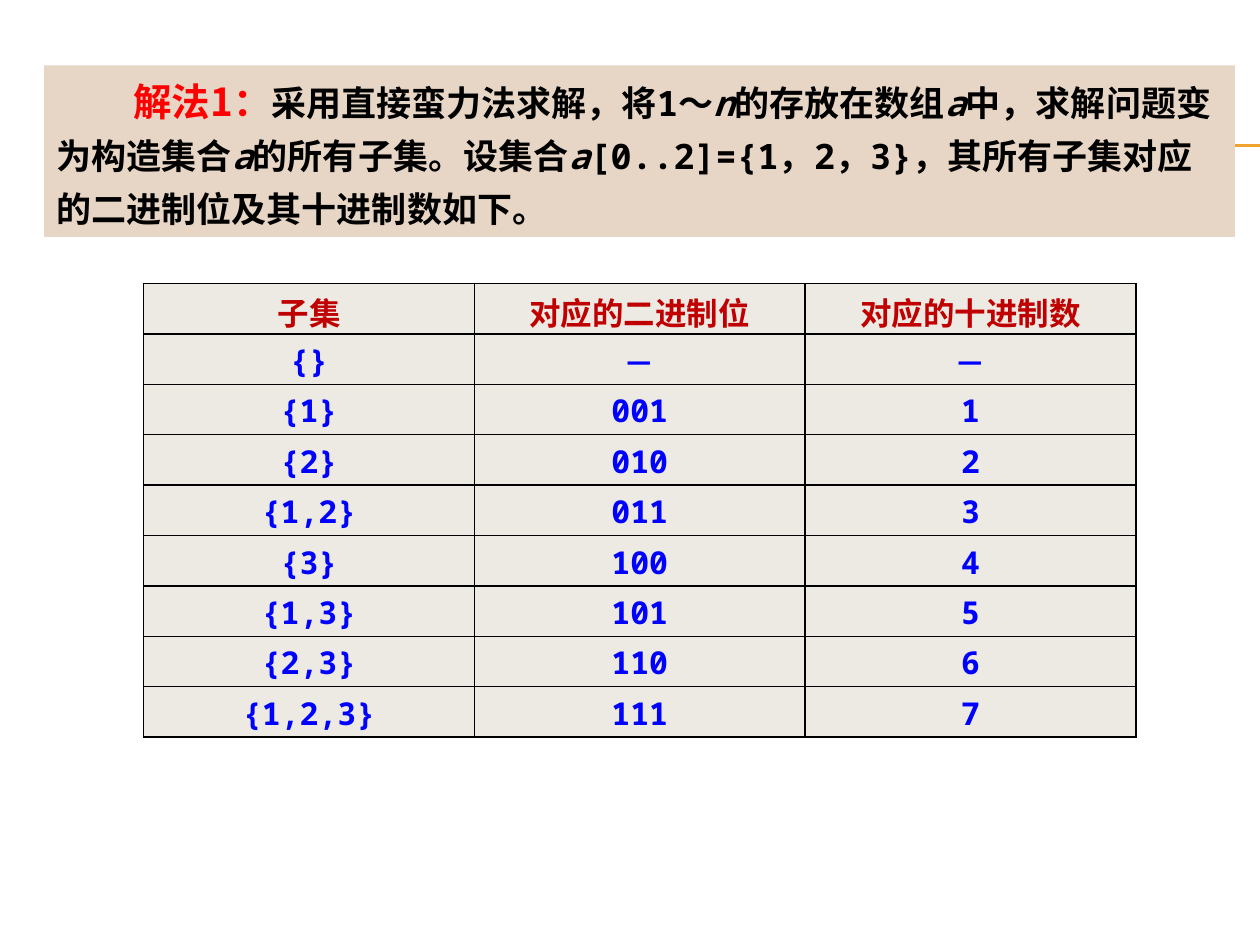
"""Build a slide that lists subsets with their binary and decimal codes."""
from dataclasses import dataclass

from lxml.etree import SubElement
from pptx import Presentation
from pptx.dml.color import RGBColor as Color
from pptx.enum.shapes import MSO_CONNECTOR as Connector
from pptx.enum.text import MSO_ANCHOR as Anchor, PP_ALIGN as Align
from pptx.oxml.ns import qn
from pptx.util import Inches, Pt

COLORS = {
    "rule": "F0A22E", "panel": "E7D6C5", "label": "FF0000", "text": "000000",
    "cell": "ECEAE3", "header": "C00000", "value": "0000FF", "border": "000000",
}
MONO, SANS = "Noto Sans Mono", "Noto Sans CJK SC"
HEADERS = ("子集", "对应的二进制位", "对应的十进制数")
ELEMENTS = (1, 2, 3)
ROW_HEIGHT, COLUMN_WIDTH = 0.4, 2.625


@dataclass(frozen=True)
class Span:
    text: str
    color: str = "text"
    size: int = 20
    italic: bool = False
    font: str = MONO


INTRODUCTION = (
    Span("解法1：", "label", 22, font=SANS),
    Span("采用直接蛮力法求解，将1～"),
    Span("n", italic=True),
    Span("的存放在数组"),
    Span("a", italic=True),
    Span("中，求解问题变为构造集合"),
    Span("a", italic=True),
    Span("的所有子集。设集合"),
    Span("a", italic=True),
    Span("[0..2]={1，2，3}，其所有子集对应的二进制位及其十进制数如下。"),
)


def color_of(name: str) -> Color:
    return Color.from_string(COLORS[name])


def add_span(paragraph, span: Span) -> None:
    run = paragraph.add_run()
    run.text = span.text
    formats = {"name": span.font, "size": Pt(span.size), "bold": True, "italic": span.italic}
    for attribute, value in formats.items():
        setattr(run.font, attribute, value)
    run.font.color.rgb = color_of(span.color)
    SubElement(run.font._element, qn("a:ea"), typeface=SANS)


def add_rule(slide, top: float) -> None:
    rule = slide.shapes.add_connector(
        Connector.STRAIGHT, Inches(0.56), Inches(top), Inches(10), Inches(top))
    rule.line.color.rgb = color_of("rule")
    rule.line.width = Pt(0.75)
    SubElement(rule._element.spPr, qn("a:effectLst"))


def add_introduction(slide) -> None:
    panel = slide.shapes.add_textbox(Inches(0.35), Inches(0.52), Inches(9.45), Inches(1.36))
    panel.fill.solid()
    panel.fill.fore_color.rgb = color_of("panel")
    panel.text_frame.word_wrap = True
    paragraph = panel.text_frame.paragraphs[0]
    paragraph.line_spacing = Pt(30)
    paragraph._p.get_or_add_pPr().set("indent", str(Pt(44)))
    for span in INTRODUCTION:
        add_span(paragraph, span)


def subset_rows() -> list[tuple[str, str, str]]:
    rows = [HEADERS, ("{}", "－", "－")]
    for code in range(1, 2 ** len(ELEMENTS)):
        members = [str(item) for bit, item in enumerate(ELEMENTS) if code >> bit & 1]
        rows.append(("{" + ",".join(members) + "}", f"{code:03b}", str(code)))
    return rows


def format_cell(cell, span: Span) -> None:
    formats = {"margin_top": Inches(0.04), "margin_bottom": 0, "vertical_anchor": Anchor.TOP}
    for attribute, value in formats.items():
        setattr(cell, attribute, value)
    properties = cell._tc.get_or_add_tcPr()
    for side in "LRTB":
        border = SubElement(properties, qn(f"a:ln{side}"), w=str(Pt(1)))
        fill = SubElement(border, qn("a:solidFill"))
        SubElement(fill, qn("a:srgbClr"), val=COLORS["border"])
    cell.fill.solid()
    cell.fill.fore_color.rgb = color_of("cell")
    paragraph = cell.text_frame.paragraphs[0]
    paragraph.alignment = Align.CENTER
    add_span(paragraph, span)


def add_subset_table(slide) -> None:
    rows = subset_rows()
    table = slide.shapes.add_table(
        len(rows), len(HEADERS), Inches(1.14), Inches(2.25),
        Inches(COLUMN_WIDTH * len(HEADERS)), Inches(ROW_HEIGHT * len(rows))).table
    for row_index, texts in enumerate(rows):
        color = "value" if row_index else "header"
        for column_index, text in enumerate(texts):
            format_cell(table.cell(row_index, column_index), Span(text, color, 18))


def main() -> None:
    presentation = Presentation()
    presentation.slide_width, presentation.slide_height = Inches(10), Inches(7.5)
    slide = presentation.slides.add_slide(presentation.slide_layouts[6])
    for top in (1.15, 1.16):
        add_rule(slide, top)
    add_introduction(slide)
    add_subset_table(slide)
    presentation.save("out.pptx")


main()
